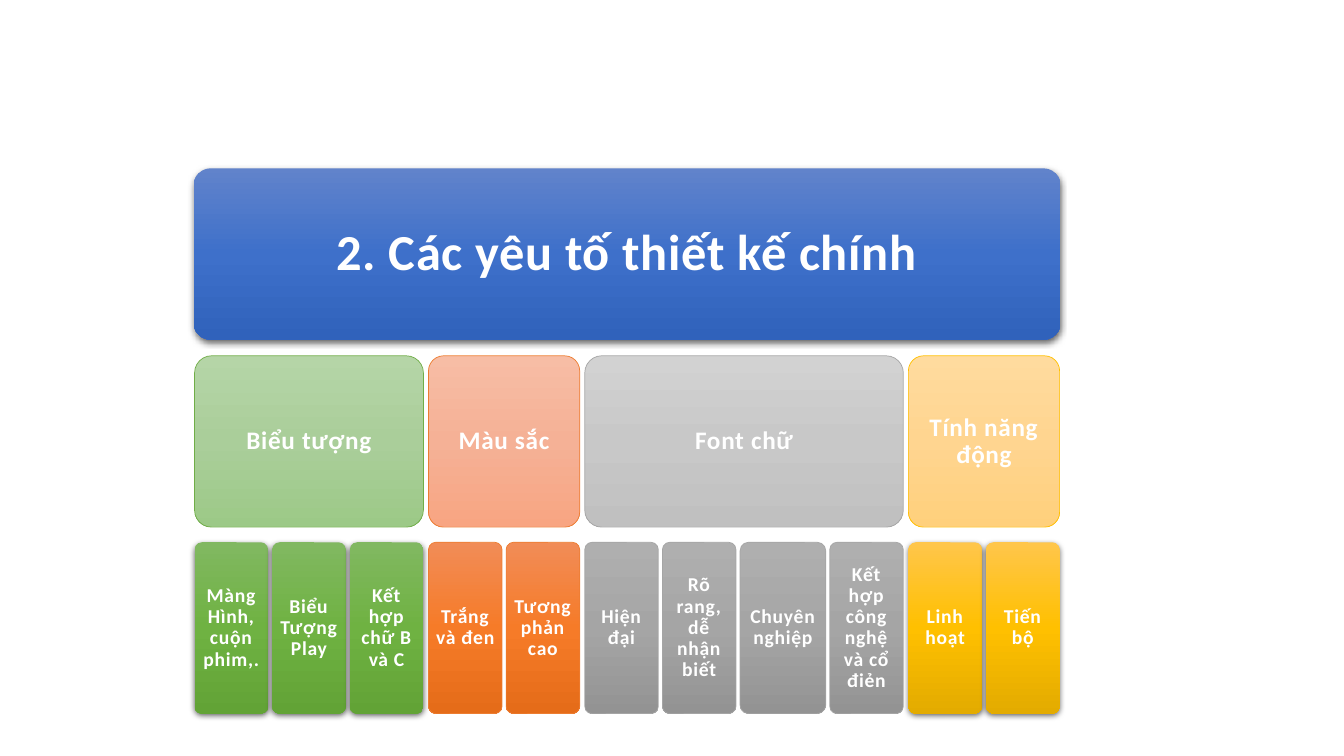
from copy import deepcopy

from lxml import etree
from pptx import Presentation
from pptx import util as u
from pptx.dml.color import RGBColor
from pptx.enum import shapes, text
from pptx.oxml.ns import qn

TITLE = "2. Các yêu tố thiết kế chính"
TITLE_FILL = ("6183CB", "3E70CA", "3062BB")

# heading, heading gradient, outline, leaf gradient, leaves have a shadow, leaves
GROUPS = [
    ("Biểu tượng", ("B5D5A7", "AACE9A", "9CC987"), "70AD47",
     ("81B861", "6FB242", "62A336"), True,
     ["Màng Hình, cuộn phim,.", "Biểu Tượng Play", "Kết hợp chữ B và C"]),
    ("Màu sắc", ("F7BDA5", "F5B196", "F8A582"), "ED7D31",
     ("F18C57", "F67B28", "E56C19"), False,
     ["Trắng và đen", "Tương phản cao"]),
    ("Font chữ", ("D2D2D2", "C8C8C8", "C0C0C0"), "A5A5A5",
     ("AFAFAF", "A5A5A5", "939393"), False,
     ["Hiện đại", "Rõ rang, dễ nhận biết", "Chuyên nghiệp",
      "Kết hợp công nghệ và cổ điẻn"]),
    ("Tính năng động", ("FFDB9E", "FFD590", "FFD07C"), "FFC000",
     ("FFC64B", "FFC000", "E3AB00"), True,
     ["Linh hoạt", "Tiến bộ"]),
]
LEAF_WIDTH = 0.73
WIDE_LEAVES = {"Chuyên nghiệp": 0.85}

LEFT, ROW_HEIGHT = 1.93, 1.7
TITLE_TOP, HEADING_TOP, LEAF_TOP = 1.67, 3.53, 5.38
LEAF_GAP, GROUP_GAP = 0.04, 0.05
# Rounded corners already narrow the text area, so leaves need little margin.
TITLE_INSET, HEADING_INSET, LEAF_INSET = 0.15, 0.07, 0.04


def color(value):
    return RGBColor.from_string(value)


def shadow_effect(value, alpha, blur, distance):
    """Effect list with one shadow that falls straight down."""
    effects = etree.Element(qn("a:effectLst"))
    shadow = etree.SubElement(
        effects, qn("a:outerShdw"), blurRad=str(u.Pt(blur)),
        dist=str(u.Pt(distance)), dir="5400000", algn="ctr", rotWithShape="0")
    tint = etree.SubElement(shadow, qn("a:srgbClr"), val=value)
    etree.SubElement(tint, qn("a:alpha"), val=str(alpha * 1000))
    return effects


def paint_gradient(box, colors):
    """Fill from top to bottom with three evenly spaced colours."""
    box.fill.gradient()
    box.fill.gradient_angle = 270
    stop_list = box._element.spPr.find(".//" + qn("a:gsLst"))
    stop_list.append(deepcopy(stop_list[-1]))
    for index, (stop, value) in enumerate(zip(box.fill.gradient_stops, colors)):
        stop.position = index / 2
        stop.color.rgb = color(value)


def add_box(page, words, left, top, width, colors, size, inset,
            outline=None, text_shadow=True):
    """Rounded box with a thin outline, or with a shadow if it has none."""
    box = page.shapes.add_shape(
        shapes.MSO_SHAPE.ROUNDED_RECTANGLE, u.Inches(left), u.Inches(top),
        u.Inches(width), u.Inches(ROW_HEIGHT))
    box.adjustments[0] = 0.1
    paint_gradient(box, colors)
    if outline:
        box.line.color.rgb = color(outline)
        box.line.width = u.Pt(0.5)
        box.shadow.inherit = False
    else:
        box.line.fill.background()
        box._element.spPr.append(shadow_effect("000000", 63, 4.5, 1.5))

    frame = box.text_frame
    frame.word_wrap = True
    frame.vertical_anchor = text.MSO_ANCHOR.MIDDLE
    frame.margin_left = frame.margin_right = u.Inches(inset)
    frame.margin_top = frame.margin_bottom = u.Inches(inset)
    para = frame.paragraphs[0]
    para.alignment = text.PP_ALIGN.CENTER
    para.line_spacing = 0.9
    after = etree.SubElement(para._p.get_or_add_pPr(), qn("a:spcAft"))
    etree.SubElement(after, qn("a:spcPct"), val="35000")

    span = para.add_run()
    span.text = words
    span.font.size = u.Pt(size)
    span.font.bold = True
    span.font.name = "Calibri"
    span.font.color.rgb = color("FFFFFF")
    props = span._r.get_or_add_rPr()
    props.set("spc", "50")
    if text_shadow:
        props.find(qn("a:solidFill")).addnext(
            shadow_effect("4472C4", 40, 3, 1.5))


def main():
    deck = Presentation()
    deck.slide_width, deck.slide_height = u.Inches(13.33), u.Inches(7.5)
    page = deck.slides.add_slide(deck.slide_layouts[6])

    add_box(page, TITLE, 1.92, TITLE_TOP, 8.6, TITLE_FILL, 36, TITLE_INSET,
            text_shadow=False)

    left = LEFT
    for heading, pale, outline, strong, shadowed, leaves in GROUPS:
        widths = [WIDE_LEAVES.get(leaf, LEAF_WIDTH) for leaf in leaves]
        group_width = sum(widths) + LEAF_GAP * (len(leaves) - 1)
        add_box(page, heading, left, HEADING_TOP, group_width, pale, 18,
                HEADING_INSET, outline)
        leaf_left = left
        for leaf, width in zip(leaves, widths):
            add_box(page, leaf, leaf_left, LEAF_TOP, width, strong, 14,
                    LEAF_INSET, None if shadowed else outline)
            leaf_left += width + LEAF_GAP
        left += group_width + GROUP_GAP

    deck.save("out.pptx")


if __name__ == "__main__":
    main()
